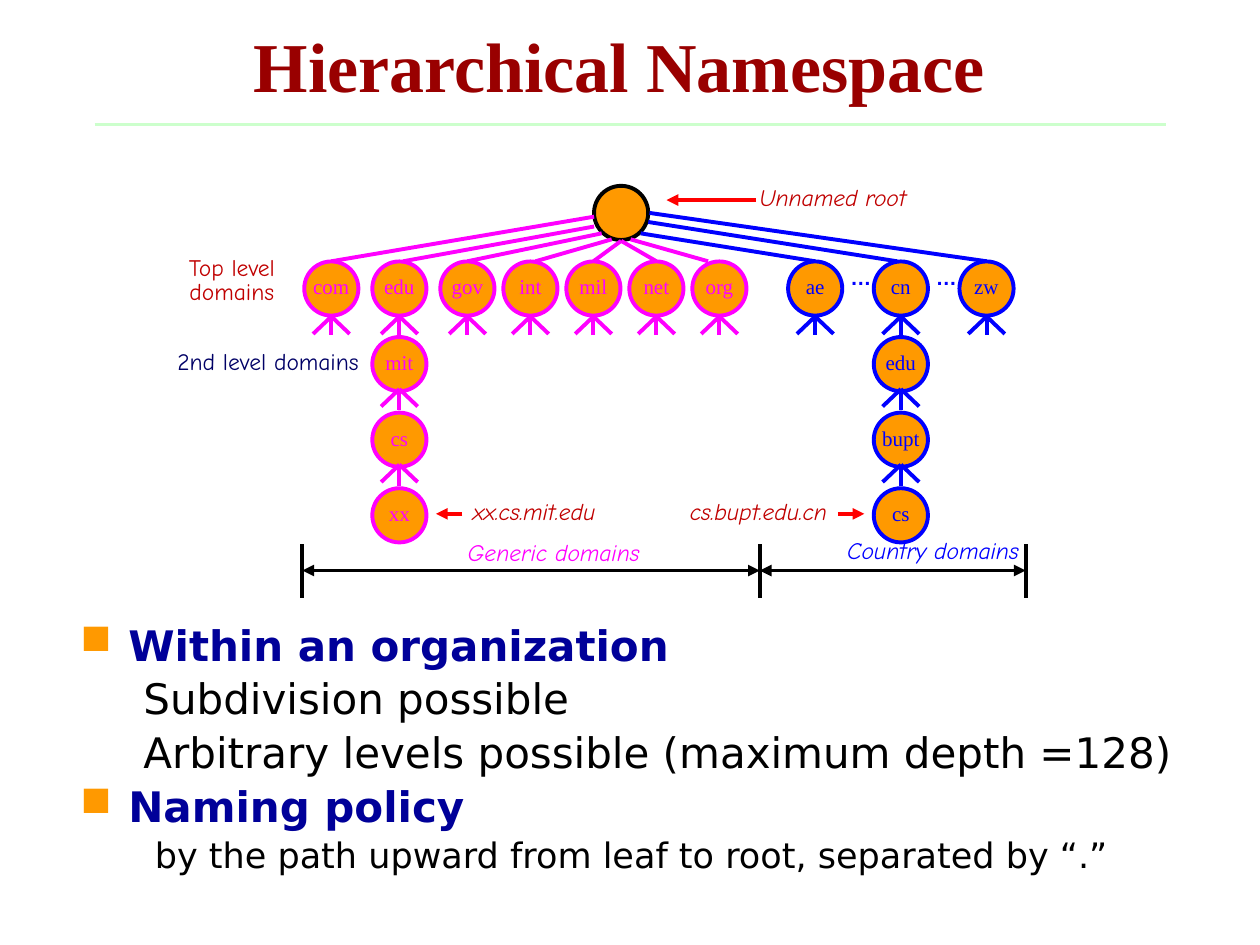
from dataclasses import dataclass

from lxml import etree
from pptx import Presentation
from pptx.dml.color import RGBColor
from pptx.enum import shapes as kinds, text as txt
from pptx.oxml.ns import qn
from pptx.util import Inches, Pt


@dataclass(frozen=True)
class Theme:
    title: str = "990000"
    rule: str = "CCFFCC"
    heading: str = "000099"
    ink: str = "000000"
    accent: str = "FF9900"
    generic: str = "FF00FF"
    country: str = "0000FF"
    note: str = "C00000"
    second: str = "000066"
    pointer: str = "FF0000"
    serif: str = "Times New Roman"
    sans: str = "DejaVu Sans"
    hand: str = "Comic Neue"
    title_size: float = 40
    body_size: float = 24
    detail_size: float = 20
    label_size: float = 13.5
    node_size: float = 12
    stroke: float = 2.25


@dataclass(frozen=True)
class Grid:
    """A box in inches, split into columns and rows."""
    left: float
    top: float
    width: float
    height: float
    cols: float = 1
    rows: float = 1

    def w(self, cols):
        return Inches(cols * self.width / self.cols)

    def h(self, rows):
        return Inches(rows * self.height / self.rows)

    def point(self, col, row):
        return Inches(self.left) + self.w(col), Inches(self.top) + self.h(row)

    def frame(self, col=0, row=0, cols=1, rows=1):
        return *self.point(col, row), self.w(cols), self.h(rows)


THEME = Theme()
PAGE_W, PAGE_H = 10, 7.5
DIAMETER = 0.43

# Label, column, where its link leaves the root, sideways shift where it arrives
GENERIC = [
    ("com", 0.84, (-0.43, 0.05), 0), ("edu", 1.92, (-0.43, 0.18), 0.06),
    ("gov", 3, (-0.31, 0.27), 0), ("int", 4, (-0.15, 0.35), 0.08),
    ("mil", 5, (0, 0.37), 0), ("net", 6, (0, 0.37), 0),
    ("org", 7, (0.15, 0.35), -0.18),
]
COUNTRY = [
    ("ae", 8.52, (0.31, 0.27), 0), ("cn", 9.88, (0.43, 0.12), -0.06),
    ("zw", 11.24, (0.45, 0), 0),
]
CHAINS = {"edu": ["mit", "cs", "xx"], "cn": ["edu", "bupt", "cs"]}
ROOT_COL = 5.44


def rgb(value):
    return RGBColor.from_string(value)


def style(paragraph, size, face, color, bold=False, italic=False):
    font = paragraph.font
    font.size, font.name = Pt(size), face
    font.bold, font.italic = bold, italic
    font.color.rgb = rgb(color)


def line(shapes, start, end, color, width=THEME.stroke, heads=()):
    link = shapes.add_connector(kinds.MSO_CONNECTOR.STRAIGHT, *start, *end)
    link.line.color.rgb, link.line.width = rgb(color), Pt(width)
    for head in heads:
        etree.SubElement(link.line._get_or_add_ln(), qn(f"a:{head}End"), type="triangle")
    etree.SubElement(link._element.spPr, qn("a:effectLst"))


def label(shapes, frame, words, color, face=THEME.hand, size=THEME.label_size,
          align=txt.PP_ALIGN.CENTER, **look):
    box = shapes.add_textbox(*frame).text_frame
    box.word_wrap = True
    caption = box.paragraphs[0]
    caption.text, caption.alignment, caption.line_spacing = words, align, 0.85
    style(caption, size, face, color, **look)


def node(shapes, grid, col, row, color, words=""):
    x, y = grid.point(col, row)
    size = Inches(DIAMETER)
    circle = shapes.add_shape(kinds.MSO_SHAPE.OVAL, x - size // 2, y - size // 2, size, size)
    circle.shadow.inherit = False
    circle.fill.solid()
    circle.fill.fore_color.rgb = rgb(THEME.accent)
    circle.line.color.rgb, circle.line.width = rgb(color), Pt(THEME.stroke)
    if words:
        frame = circle.text_frame
        frame.word_wrap, frame.vertical_anchor = False, txt.MSO_ANCHOR.MIDDLE
        name = frame.paragraphs[0]
        name.text, name.alignment, name.line_spacing = words, txt.PP_ALIGN.CENTER, 0.85
        style(name, THEME.node_size, THEME.serif, color)


def fork(shapes, grid, col, row, color):
    """Stem and two wings below a node; wings start higher on deeper levels."""
    line(shapes, grid.point(col, row + 0.37), grid.point(col, row + 0.61), color)
    apex = row + (0.37 if row == 1 else 0.33)
    for side in (-0.29, 0.29):
        line(shapes, grid.point(col, apex), grid.point(col + side, apex + 0.23), color)


def domain_tree(shapes, grid):
    node(shapes, grid, ROOT_COL, 0, THEME.ink)
    for domains, color in ((GENERIC, THEME.generic), (COUNTRY, THEME.country)):
        for name, col, (dx, dy), shift in domains:
            line(shapes, grid.point(ROOT_COL + dx, dy), grid.point(col + shift, 0.64), color)
            chain = [name, *CHAINS.get(name, [])]
            for level, words in enumerate(chain, 1):
                node(shapes, grid, col, level, color, words)
            for level in range(1, max(len(chain), 2)):
                fork(shapes, grid, col, level, color)
    for col in (8.88, 10.24):
        label(shapes, grid.frame(col, 0.65, 0.72, 0.45), "…", THEME.country,
              "Arial", THEME.node_size, bold=True)


def tree_notes(shapes, grid):
    # Level names
    label(shapes, grid.frame(-1.68, 0.5, 1.88, 1.13), "Top level domains", THEME.note)
    label(shapes, grid.frame(-1.8, 1.75, 5.08, 0.48), "2nd level domains", THEME.second,
          align=txt.PP_ALIGN.LEFT)
    # Callouts with their arrows
    for words, col, row, cols, start, end in (
            ("Unnamed root", 6.62, -0.42, 4.36, 7.58, 6.16),
            ("xx.cs.mit.edu", 2.66, 3.73, 2.8, 2.92, 2.5),
            ("cs.bupt.edu.cn", 6.22, 3.73, 2.8, 8.88, 9.3)):
        callout = shapes.add_group_shape().shapes
        label(callout, grid.frame(col, row, cols, 0.48), words, THEME.note, italic=True)
        line(callout, grid.point(start, row + 0.25), grid.point(end, row + 0.25),
             THEME.pointer, heads=["tail"])


def domain_spans(shapes, grid):
    ticks = (0.38, 7.64, 11.86)
    for col in ticks:
        line(shapes, grid.point(col, 4.38), grid.point(col, 5.1), THEME.ink)
    for start, end in zip(ticks, ticks[1:]):
        line(shapes, grid.point(start, 4.73), grid.point(end, 4.73), THEME.ink,
             heads=["head", "tail"])
    for words, col, row, color in (("Generic domains", 2.04, 4.27, THEME.generic),
                                   ("Country domains", 8.06, 4.25, THEME.country)):
        label(shapes, grid.frame(col, row, 4.66, 0.48), words, color, italic=True)


def heading(slide, box):
    title = slide.shapes.title
    title.left, title.top, title.width, title.height = box.frame()
    title.text_frame.vertical_anchor = txt.MSO_ANCHOR.MIDDLE
    words = title.text_frame.paragraphs[0]
    words.text, words.alignment = "Hierarchical Namespace", txt.PP_ALIGN.CENTER
    style(words, THEME.title_size, THEME.serif, THEME.title, bold=True)


def key_points(shapes, box):
    frame = shapes.add_textbox(*box.frame()).text_frame
    frame.word_wrap = True
    points = (
        ("Within an organization", True, THEME.body_size, 0.38),
        ("Subdivision possible", False, THEME.body_size, 0.81),
        ("Arbitrary levels possible (maximum depth =128)", False, THEME.body_size, 0.81),
        ("Naming policy", True, THEME.body_size, 0.38),
        ("by the path upward from leaf to root, separated by “.”", False,
         THEME.detail_size, 0.9),
    )
    for i, (words, main_point, size, margin) in enumerate(points):
        point = frame.add_paragraph() if i else frame.paragraphs[0]
        point.text, point.line_spacing, point.space_before = words, 0.9, Pt(size * 0.2)
        point.level = 0 if main_point else 1
        style(point, size, THEME.sans, THEME.heading if main_point else THEME.ink, main_point)
        props = point._p.get_or_add_pPr()
        props.set("marL", str(Inches(margin)))
        props.set("indent", str(-Inches(0.38 if main_point else 0.31)))
        if main_point:
            tint = etree.Element(qn("a:buClr"))
            etree.SubElement(tint, qn("a:srgbClr"), val=THEME.accent)
            props.find(qn("a:spcBef")).addnext(tint)
            tint.addnext(etree.Element(qn("a:buChar"), char="■"))


def main():
    deck = Presentation()
    deck.slide_width, deck.slide_height = Inches(PAGE_W), Inches(PAGE_H)
    slide = deck.slides.add_slide(deck.slide_layouts[5])
    page = Grid(0, 0, PAGE_W, PAGE_H)
    tree = Grid(2.21, 1.69, 6, 3, cols=12, rows=5)

    line(slide.shapes, page.point(0.075, 0.132), page.point(0.925, 0.132), THEME.rule, 1.5)
    heading(slide, Grid(1.31, 0.21, 7.21, 0.61))
    key_points(slide.shapes, Grid(0.54, 4.91, 9.21, 2.59))
    domain_tree(slide.shapes, tree)
    domain_spans(slide.shapes, tree)
    tree_notes(slide.shapes, tree)
    deck.save("out.pptx")


if __name__ == "__main__":
    main()
